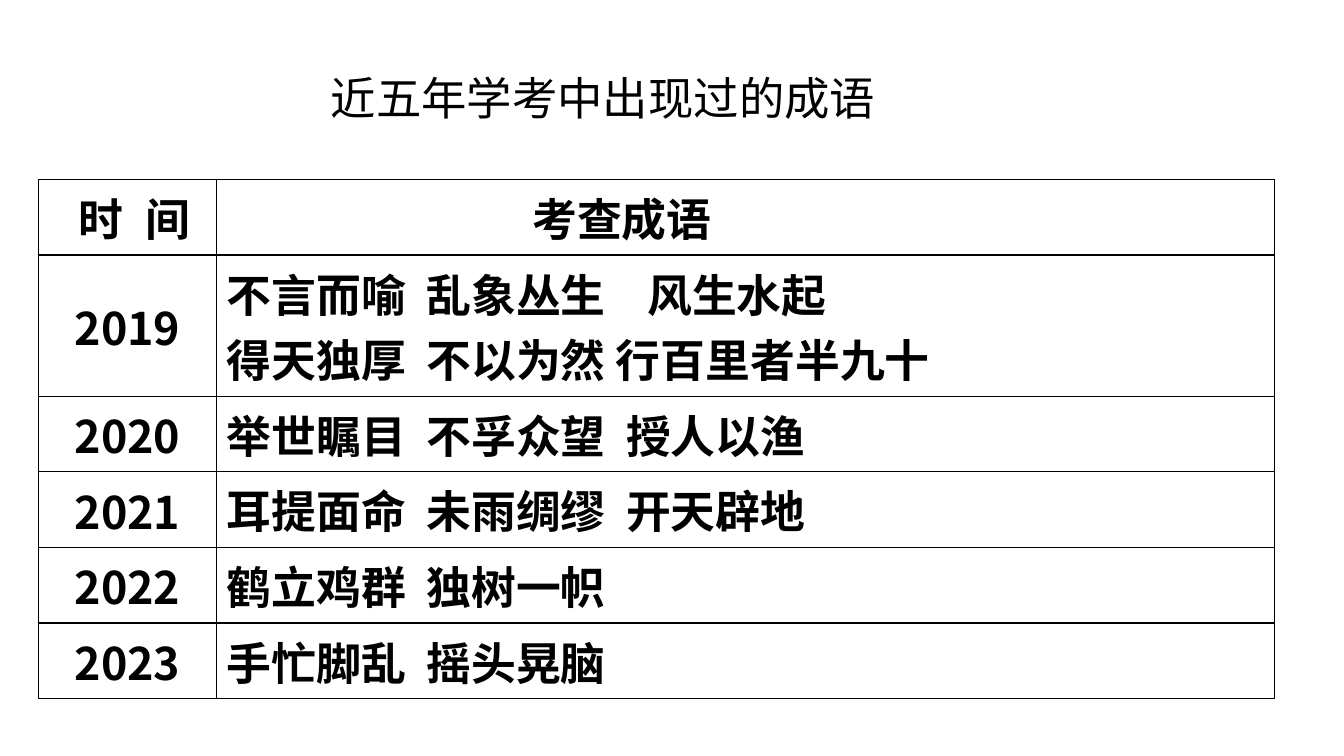
from dataclasses import dataclass

from lxml import etree
from pptx import Presentation
from pptx.dml.color import RGBColor
from pptx.enum.text import MSO_ANCHOR, PP_ALIGN
from pptx.oxml.ns import qn
from pptx.util import Inches, Pt

MIDDLE = MSO_ANCHOR.MIDDLE
TOP = MSO_ANCHOR.TOP
CENTER = PP_ALIGN.CENTER
LEFT = PP_ALIGN.LEFT


@dataclass(frozen=True)
class Theme:
    font: str = "Noto Sans CJK SC"
    ink: str = "000000"
    title_size: float = 32.4
    table_size: float = 32
    border: float = 1


THEME = Theme()
TITLE = "近五年学考中出现过的成语"
# Each year holds lines of idioms; every idiom after the first starts at a tab stop.
IDIOMS = {
    "2019": [["不言而喻", "乱象丛生", "风生水起"],
             ["得天独厚", "不以为然 行百里者半九十"]],
    "2020": [["举世瞩目", "不孚众望", "授人以渔"]],
    "2021": [["耳提面命", "未雨绸缪", "开天辟地"]],
    "2022": [["鹤立鸡群", "独树一帜"]],
    "2023": [["手忙脚乱", "摇头晃脑"]],
}
COLUMN_WIDTHS = (1.77, 10.49)
LINE_HEIGHT = 0.65
ROW_PADDING = 0.1
CELL_MARGIN = 0.1
IDIOM_STEP = 1.98
WIDE_STOP = 4.17


def style_paragraph(paragraph, size, bold=False, align=LEFT):
    paragraph.alignment = align
    for run in paragraph.runs:
        font = run.font
        font.size, font.bold, font.name = Pt(size), bold, THEME.font
        font.color.rgb = RGBColor.from_string(THEME.ink)
        etree.SubElement(font._element, qn("a:ea"), typeface=THEME.font)


def set_tab_stops(paragraph, stops):
    tab_list = etree.SubElement(paragraph._p.get_or_add_pPr(), qn("a:tabLst"))
    for stop in stops:
        etree.SubElement(tab_list, qn("a:tab"), pos=str(Inches(stop)), algn="l")


def set_borders(cell):
    properties = cell._tc.get_or_add_tcPr()
    for index, side in enumerate(("lnL", "lnR", "lnT", "lnB")):
        line = etree.Element(qn(f"a:{side}"), w=str(Pt(THEME.border)))
        fill = etree.SubElement(line, qn("a:solidFill"))
        etree.SubElement(fill, qn("a:srgbClr"), val=THEME.ink)
        properties.insert(index, line)


def fill_cell(cell, lines, stops=(), margin=CELL_MARGIN, align=LEFT, anchor=TOP):
    """Write lines of tab-separated parts into a bordered cell."""
    cell.fill.background()
    set_borders(cell)
    cell.margin_left = Inches(margin)
    cell.vertical_anchor = anchor
    cell.text_frame.text = "\n".join("\t".join(parts) for parts in lines)
    for paragraph in cell.text_frame.paragraphs:
        style_paragraph(paragraph, THEME.table_size, True, align)
        if stops:
            set_tab_stops(paragraph, stops)


def add_title(slide, left, top, width, height):
    box = slide.shapes.add_textbox(*map(Inches, (left, top, width, height)))
    frame = box.text_frame
    frame.word_wrap = True
    frame.vertical_anchor = MIDDLE
    frame.margin_left = Inches(2.9)
    frame.text = TITLE
    frame.paragraphs[0].line_spacing = 0.9
    style_paragraph(frame.paragraphs[0], THEME.title_size)


def add_idiom_table(slide, left, top, width):
    line_counts = [1] + [len(lines) for lines in IDIOMS.values()]
    heights = [count * LINE_HEIGHT + ROW_PADDING for count in line_counts]
    frame = slide.shapes.add_table(
        len(heights), len(COLUMN_WIDTHS),
        *map(Inches, (left, top, width, sum(heights))))
    table = frame.table
    table.first_row = table.horz_banding = False
    for column, column_width in zip(table.columns, COLUMN_WIDTHS):
        column.width = Inches(column_width)
    for row, height in zip(table.rows, heights):
        row.height = Inches(height)

    fill_cell(table.cell(0, 0), [["时", "间"]], stops=[0.66], margin=0.4)
    fill_cell(table.cell(0, 1), [["考查成语"]], margin=3.13)
    for index, (year, lines) in enumerate(IDIOMS.items(), start=1):
        last_stop = WIDE_STOP if len(lines) > 1 else 2 * IDIOM_STEP
        fill_cell(table.cell(index, 0), [[year]], align=CENTER, anchor=MIDDLE)
        fill_cell(table.cell(index, 1), lines, stops=[IDIOM_STEP, last_stop])


def main():
    presentation = Presentation()
    presentation.slide_width = Inches(13.33)
    presentation.slide_height = Inches(7.5)
    slide = presentation.slides.add_slide(presentation.slide_layouts[6])
    add_title(slide, 0.38, 0.67, 11.5, 0.65)
    add_idiom_table(slide, 0.38, 1.78, sum(COLUMN_WIDTHS))
    presentation.save("out.pptx")


if __name__ == "__main__":
    main()
